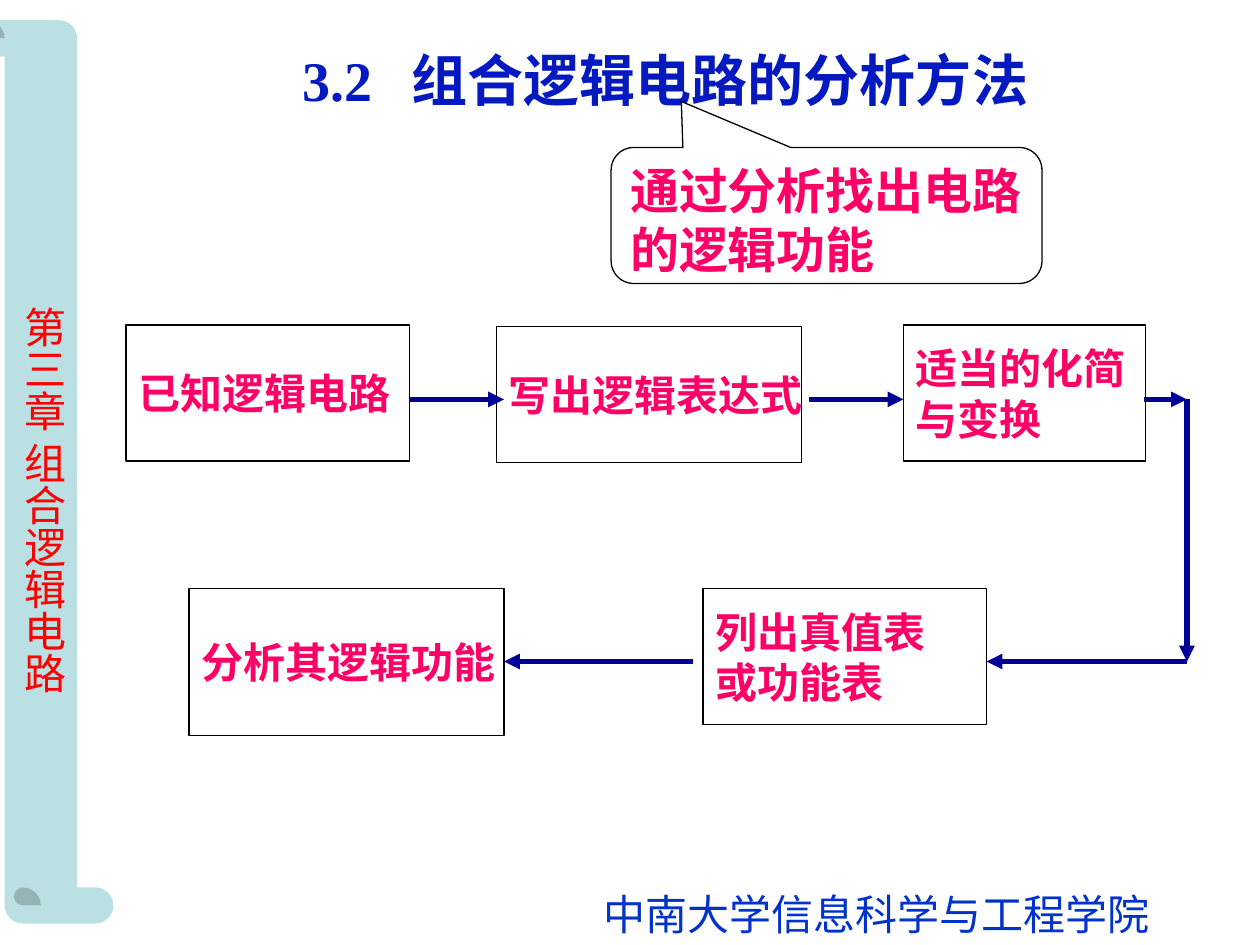
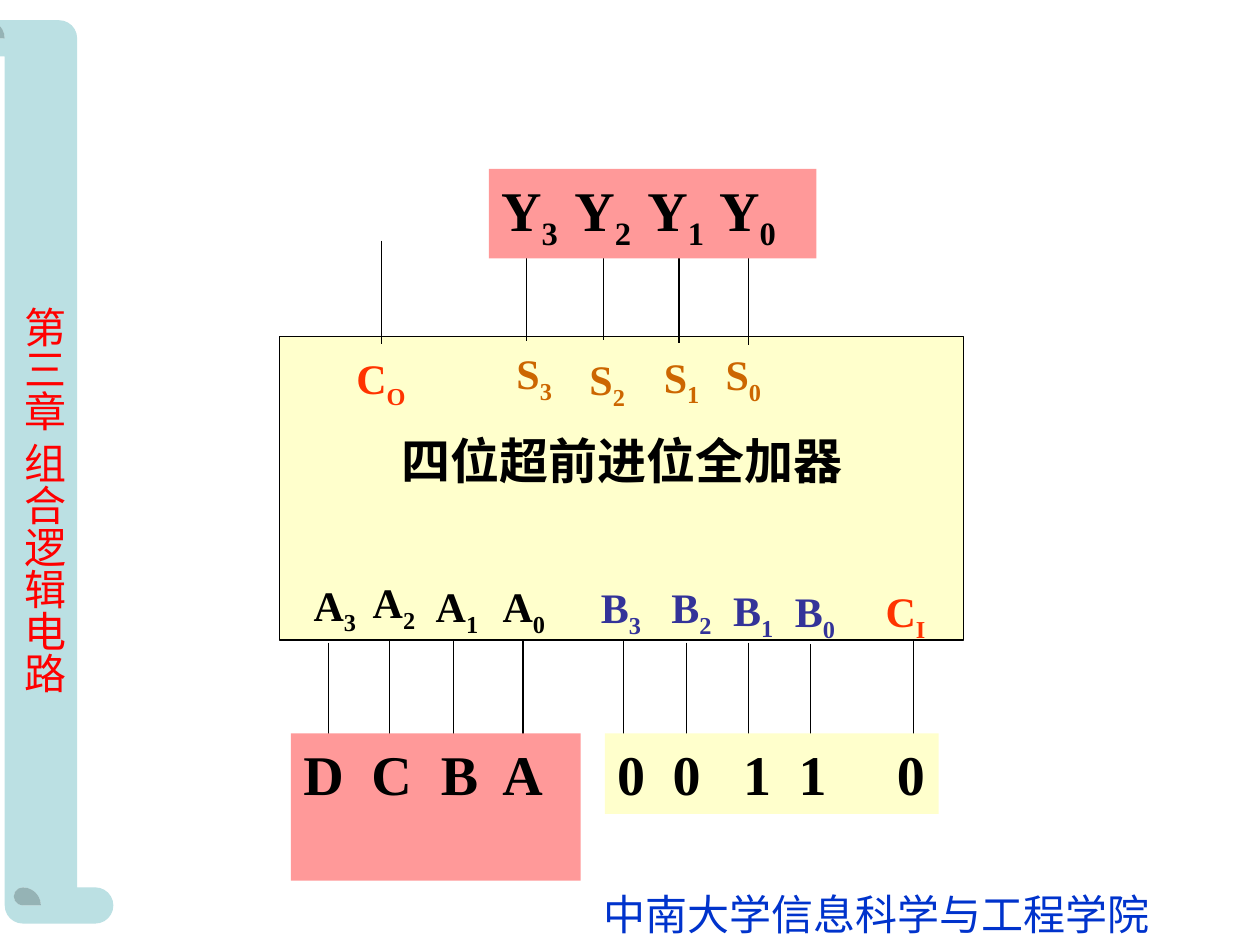
from lxml.etree import SubElement
from pptx import Presentation
from pptx.dml.color import RGBColor
from pptx.enum.shapes import MSO_CONNECTOR, MSO_SHAPE
from pptx.enum.text import MSO_ANCHOR, PP_ALIGN
from pptx.oxml.ns import qn
from pptx.util import Inches, Pt

WHITE = RGBColor(0xFF, 0xFF, 0xFF)
BLACK = RGBColor(0x00, 0x00, 0x00)
SCROLL_TEAL = RGBColor(0xBB, 0xE0, 0xE3)
CHAPTER_RED = RGBColor(0xFF, 0x00, 0x00)
FOOTER_BLUE = RGBColor(0x00, 0x33, 0xCC)
TITLE_BLUE = RGBColor(0x04, 0x1A, 0xC0)
STEP_PINK = RGBColor(0xFF, 0x00, 0x66)
ARROW_NAVY = RGBColor(0x00, 0x00, 0x99)
CHIP_YELLOW = RGBColor(0xFF, 0xFF, 0xCC)
BUS_PINK = RGBColor(0xFF, 0x99, 0x99)
SUM_ORANGE = RGBColor(0xCC, 0x66, 0x00)
CARRY_RED = RGBColor(0xFF, 0x33, 0x00)
INPUT_INDIGO = RGBColor(0x33, 0x33, 0x99)

LATIN_FONT = "Times New Roman"
CHINESE_FONT = "Noto Sans CJK SC"

PIN_GROUPS = [
    ("A", BLACK, [("3", 0.17, 1.88, 0.39, 2.43), ("2", 0.64, 1.86, 0.87, 2.42),
                  ("1", 1.14, 1.89, 1.38, 2.42), ("0", 1.67, 1.89, 1.93, 2.42)]),
    ("B", INPUT_INDIGO, [("3", 2.45, 1.9, 2.73, 2.41), ("2", 3.01, 1.9, 3.23, 2.43),
                         ("1", 3.5, 1.92, 3.72, 2.43), ("0", 3.99, 1.93, 4.21, 2.44)]),
    ("C", CARRY_RED, [("I", 4.71, 1.93, 5.03, 2.42), ("O", 0.51, 0.08, 0.81, -0.76)]),
    ("S", SUM_ORANGE, [("3", 1.78, 0.04, 1.96, -0.78), ("2", 2.36, 0.09, 2.57, -0.79),
                       ("1", 2.95, 0.07, 3.17, -0.77), ("0", 3.44, 0.05, 3.72, -0.75)]),
]
WIRE_LENGTH = 0.82


def add_run(paragraph, text, size, color, bold, font, subscript=False):
    run = paragraph.add_run()
    run.text = text
    run.font.size = Pt(size)
    run.font.bold = bold
    run.font.color.rgb = color
    run.font.name = font
    properties = run.font._element
    SubElement(properties, qn("a:ea")).set("typeface", CHINESE_FONT)
    if subscript:
        properties.set("baseline", "-25000")


def write_text(shape, text, size=24, color=BLACK, bold=True, font=LATIN_FONT, wrap=True,
               align=PP_ALIGN.LEFT, anchor=MSO_ANCHOR.TOP, tabs=(), margins=(0.1, 0.05, 0.1, 0.05)):
    frame = shape.text_frame
    frame.word_wrap = wrap
    frame.vertical_anchor = anchor
    left, top, right, bottom = map(Inches, margins)
    frame.margin_left, frame.margin_top = left, top
    frame.margin_right, frame.margin_bottom = right, bottom
    for index, line in enumerate(text.split("\n")):
        paragraph = frame.add_paragraph() if index else frame.paragraphs[0]
        paragraph.alignment = align
        if tabs:
            tab_list = SubElement(paragraph._p.get_or_add_pPr(), qn("a:tabLst"))
            for position in tabs:
                tab = SubElement(tab_list, qn("a:tab"))
                tab.set("pos", str(Inches(position)))
                tab.set("algn", "l")
        style = (size, color, bold, font)
        plain, *marked = line.split("_")
        add_run(paragraph, plain, *style)
        for piece in marked:
            add_run(paragraph, piece[0], *style, subscript=True)
            if piece[1:]:
                add_run(paragraph, piece[1:], *style)


def add_label(slide, box, text, **text_format):
    label = slide.shapes.add_textbox(*map(Inches, box))
    write_text(label, text, **text_format)
    return label


def add_box(slide, box, fill, line=None, kind=MSO_SHAPE.RECTANGLE):
    shape = slide.shapes.add_shape(kind, *map(Inches, box))
    shape.shadow.inherit = False
    shape.fill.solid()
    shape.fill.fore_color.rgb = fill
    if line is None:
        shape.line.fill.background()
    else:
        shape.line.color.rgb = line
        shape.line.width = Pt(0.75)
    return shape


def add_line(slide, start, end, color=BLACK, width=0.75, arrow=False):
    connector = slide.shapes.add_connector(MSO_CONNECTOR.STRAIGHT, *map(Inches, (*start, *end)))
    connector.line.color.rgb = color
    connector.line.width = Pt(width)
    if arrow:
        SubElement(connector.line._get_or_add_ln(), qn("a:tailEnd")).set("type", "triangle")
    SubElement(connector._element.spPr, qn("a:effectLst"))


def add_course_slide(presentation):
    slide = presentation.slides.add_slide(presentation.slide_layouts[6])
    scroll = add_box(slide, (-3.26, 3.17, 7.17, 1.15), SCROLL_TEAL, kind=MSO_SHAPE.HORIZONTAL_SCROLL)
    scroll.adjustments[0] = 0.25
    scroll.rotation = 270
    chapter = add_label(slide, (0, 2.33, 0.6, 3.27), "第三章 组合逻辑电路", color=CHAPTER_RED,
                        bold=False, font=CHINESE_FONT, wrap=False, margins=(0.05, 0.1, 0.05, 0.1))
    chapter.text_frame._txBody.bodyPr.set("vert", "eaVert")
    add_label(slide, (4.69, 7, 4.53, 0.5), "中南大学信息科学与工程学院",
              color=FOOTER_BLUE, bold=False, wrap=False)
    return slide


def add_heading(slide, left, top):
    add_label(slide, (left, top, 6.6, 0.64), "3.2\t组合逻辑电路的分析方法",
              size=32, color=TITLE_BLUE, tabs=[0.87])
    callout = add_box(slide, (left + 2.55, top + 0.86, 3.42, 1.08), WHITE, BLACK,
                      MSO_SHAPE.ROUNDED_RECTANGULAR_CALLOUT)
    for index, value in enumerate((-0.337, -0.838, 0.167)):
        callout.adjustments[index] = value
    write_text(callout, "通过分析找出电路的逻辑功能", size=28, color=STEP_PINK)


def add_analysis_flow(slide, left, top):
    steps = [
        ("已知逻辑电路", 0, 0, 2.25, 1.08),
        ("列出真值表\n或功能表", 4.58, 2.09, 2.25, 1.08),
        ("适当的化简\n与变换", 6.17, 0, 1.92, 1.08),
        ("写出逻辑表达式", 2.94, 0.01, 2.42, 1.08),
        ("分析其逻辑功能", 0.5, 2.09, 2.5, 1.17),
    ]
    for text, x, y, width, height in steps:
        step = add_box(slide, (left + x, top + y, width, height), WHITE, BLACK)
        write_text(step, text, color=STEP_PINK, wrap=False, anchor=MSO_ANCHOR.MIDDLE)
    upper, lower, turn = top + 0.59, top + 2.67, left + 8.42
    for x1, x2, y in [(2.25, 3, upper), (5.42, 6.17, upper), (4.5, 3, lower),
                      (8.42, 6.83, lower), (8.08, 8.42, upper)]:
        add_line(slide, (left + x1, y), (left + x2, y), ARROW_NAVY, 3, arrow=True)
    add_line(slide, (turn, upper), (turn, lower), ARROW_NAVY, 3, arrow=True)


def add_adder(slide, left, top):
    chip = add_box(slide, (left, top, 5.43, 2.41), CHIP_YELLOW, BLACK)
    write_text(chip, "四位超前进位全加器", size=28, align=PP_ALIGN.CENTER, wrap=False,
               anchor=MSO_ANCHOR.MIDDLE, margins=(0.1, 0.05, 0.1, 0.5))
    for letter, color, pins in PIN_GROUPS:
        for subscript, label_x, label_y, wire_x, wire_y in pins:
            wire_left, wire_top = left + wire_x, top + wire_y
            add_line(slide, (wire_left, wire_top), (wire_left, wire_top + WIRE_LENGTH))
            add_label(slide, (left + label_x, top + label_y, 0.69, 0.56),
                      f"{letter}_{subscript}", color=color)


def add_buses(slide, left, top):
    buses = [
        ("Y_3\tY_2\tY_1\tY_0", (1.66, -1.33, 2.6, 0.71), BUS_PINK, [0.58, 1.16, 1.73]),
        ("D\tC\tB\tA", (0.09, 3.15, 2.3, 1.17), BUS_PINK, [0.54, 1.09, 1.58]),
        ("0\t0\t1\t1\t0", (2.58, 3.15, 2.65, 0.64), CHIP_YELLOW, [0.44, 1, 1.44, 2.22]),
    ]
    for text, (x, y, width, height), fill, tabs in buses:
        bus = add_box(slide, (left + x, top + y, width, height), fill)
        write_text(bus, text, size=32, tabs=tabs, margins=(0.1, 0.05, 0, 0.05))


def main():
    presentation = Presentation()
    presentation.slide_width = Inches(10)
    presentation.slide_height = Inches(7.5)
    method_slide = add_course_slide(presentation)
    add_heading(method_slide, 2.3, 0.31)
    add_analysis_flow(method_slide, 1, 2.58)
    adder_slide = add_course_slide(presentation)
    add_adder(adder_slide, 2.22, 2.67)
    add_buses(adder_slide, 2.22, 2.67)
    presentation.save("out.pptx")


if __name__ == "__main__":
    main()
